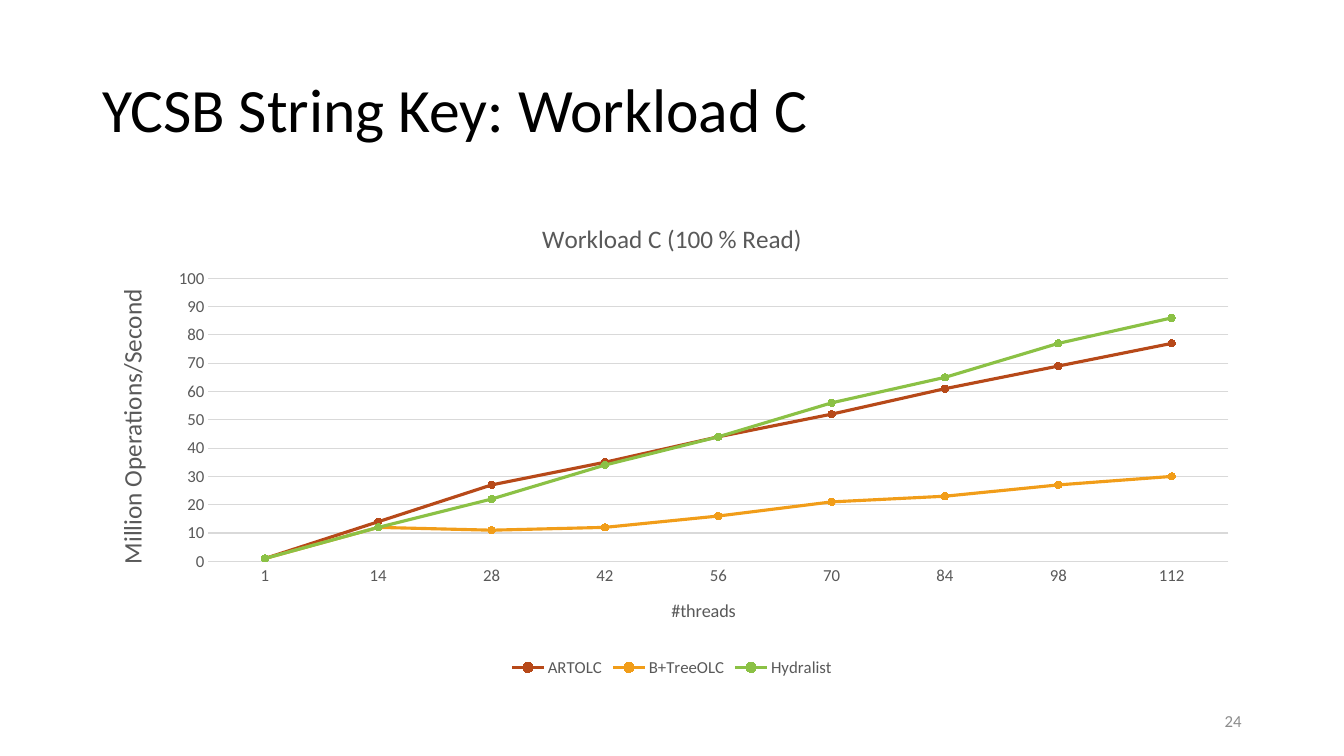
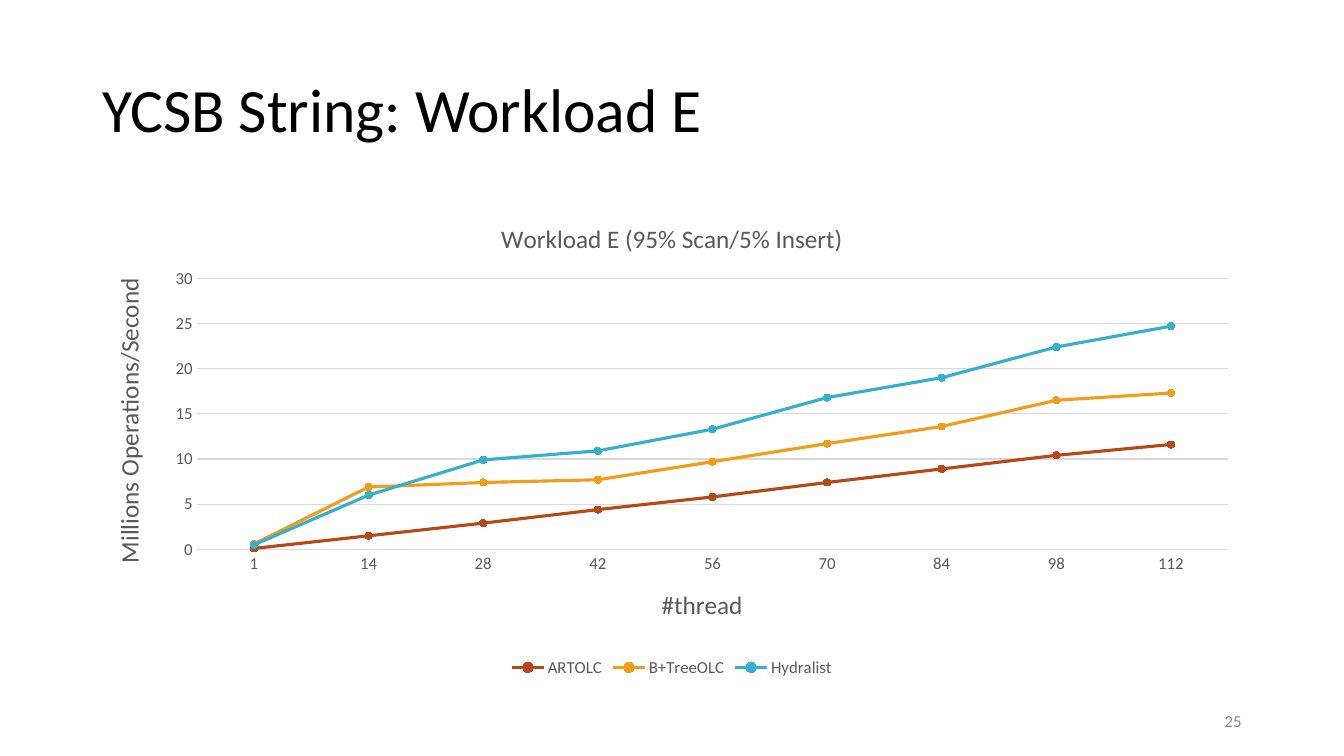
import pptx
import pptx.chart.data
import pptx.dml.color
import pptx.enum.chart
import pptx.enum.text
import pptx.oxml
import pptx.oxml.ns
import pptx.util

EMU_PER_PX = 9525
FONT = "Calibri"
BLACK = "000000"
GRAY = "595959"
PALE_GRAY = "D9D9D9"
NUMBER_GRAY = "8C8C8C"
RED = "B74919"
ORANGE = "F19D19"
GREEN = "8BC145"
BRIGHT_GREEN = "92D050"
BLUE = "36AFCE"
THREADS = ["1", "14", "28", "42", "56", "70", "84", "98", "112"]

WORKLOADS = [
    {
        "heading": "YCSB String Key: Workload C",
        "number": "24",
        "title": "Workload C (100 % Read)",
        "x_title": "#threads",
        "x_size": 13,
        "y_title": "Million Operations/Second",
        "maximum": 100,
        "step": 10,
        "plot": {"x": 0.1, "y": 0.16, "w": 0.88, "h": 0.59},
        "series": [
            ("ARTOLC", RED, RED, [1, 14, 27, 35, 44, 52, 61, 69, 77]),
            ("B+TreeOLC", ORANGE, ORANGE, [1, 12, 11, 12, 16, 21, 23, 27, 30]),
            ("Hydralist", GREEN, BRIGHT_GREEN, [1, 12, 22, 34, 44, 56, 65, 77, 86]),
        ],
    },
    {
        "heading": "YCSB String: Workload E",
        "number": "25",
        "title": "Workload E (95% Scan/5% Insert)",
        "x_title": "#thread",
        "x_size": 18,
        "y_title": "Millions Operations/Second",
        "maximum": 30,
        "step": 5,
        "plot": {"x": 0.09, "y": 0.16, "w": 0.89, "h": 0.565},
        "series": [
            ("ARTOLC", RED, RED, [0.1, 1.5, 2.9, 4.4, 5.8, 7.4, 8.9, 10.4, 11.6]),
            ("B+TreeOLC", ORANGE, ORANGE, [0.6, 6.9, 7.4, 7.7, 9.7, 11.7, 13.6, 16.5, 17.3]),
            ("Hydralist", BLUE, BLUE, [0.5, 6, 9.9, 10.9, 13.3, 16.8, 19, 22.4, 24.7]),
        ],
    },
]


def px(length):
    return pptx.util.Emu(length * EMU_PER_PX)


def color(value):
    return pptx.dml.color.RGBColor.from_string(value)


def style_font(font, size, value):
    font.name = FONT
    font.size = pptx.util.Pt(size)
    font.bold = False
    font.color.rgb = color(value)


def style_line(line, value, width):
    line.color.rgb = color(value)
    line.width = pptx.util.Pt(width)


def set_text(shape, text, size, value, alignment):
    frame = shape.text_frame
    frame.text = text
    frame.word_wrap = True
    frame.auto_size = pptx.enum.text.MSO_AUTO_SIZE.NONE
    frame.vertical_anchor = pptx.enum.text.MSO_ANCHOR.MIDDLE
    paragraph = frame.paragraphs[0]
    paragraph.alignment = alignment
    style_font(paragraph.runs[0].font, size, value)
    return paragraph


def add_heading(slide, text):
    title = slide.shapes.title
    title.left, title.top, title.width, title.height = map(px, (88, 38, 1104, 139))
    paragraph = set_text(title, text, 44, BLACK, pptx.enum.text.PP_ALIGN.LEFT)
    paragraph.line_spacing = 0.9


def add_slide_number(slide, number):
    box = slide.shapes.add_textbox(*map(px, (904, 667, 288, 38)))
    set_text(box, number, 12, NUMBER_GRAY, pptx.enum.text.PP_ALIGN.RIGHT)


def set_title(owner, text, size):
    frame = (owner.chart_title if hasattr(owner, "chart_title") else owner.axis_title).text_frame
    frame.text = text
    style_font(frame.paragraphs[0].runs[0].font, size, GRAY)


def set_plot_area(chart, plot):
    plot_area = chart.element.chart.plotArea
    for layout in plot_area.findall(pptx.oxml.ns.qn("c:layout")):
        plot_area.remove(layout)
    modes = "".join(f'<c:{side}Mode val="edge"/>' for side in "xy")
    sizes = "".join(f'<c:{side} val="{share}"/>' for side, share in plot.items())
    plot_area.insert(0, pptx.oxml.parse_xml(
        f'<c:layout {pptx.oxml.ns.nsdecls("c")}><c:manualLayout>'
        f'<c:layoutTarget val="inner"/>{modes}{sizes}'
        "</c:manualLayout></c:layout>"))


def style_axis(axis, title, size):
    axis.major_tick_mark = pptx.enum.chart.XL_TICK_MARK.NONE
    axis.minor_tick_mark = pptx.enum.chart.XL_TICK_MARK.NONE
    style_font(axis.tick_labels.font, 12, GRAY)
    set_title(axis, title, size)


def style_series(series, line_color, marker_color):
    series.smooth = False
    style_line(series.format.line, line_color, 2.25)
    marker = series.marker
    marker.style = pptx.enum.chart.XL_MARKER_STYLE.CIRCLE
    marker.size = 5
    marker.format.fill.solid()
    marker.format.fill.fore_color.rgb = color(marker_color)
    style_line(marker.format.line, line_color, 0.75)


def add_line_chart(slide, workload):
    data = pptx.chart.data.CategoryChartData()
    data.categories = THREADS
    for name, _, _, values in workload["series"]:
        data.add_series(name, values)
    chart = slide.shapes.add_chart(
        pptx.enum.chart.XL_CHART_TYPE.LINE_MARKERS, *map(px, (88, 192, 1104, 457)), data).chart
    style_font(chart.font, 10, BLACK)
    set_title(chart, workload["title"], 18)
    set_plot_area(chart, workload["plot"])

    style_axis(chart.category_axis, workload["x_title"], workload["x_size"])
    style_line(chart.category_axis.format.line, PALE_GRAY, 0.75)
    value_axis = chart.value_axis
    style_axis(value_axis, workload["y_title"], 18)
    value_axis.minimum_scale = 0
    value_axis.maximum_scale = workload["maximum"]
    value_axis.major_unit = workload["step"]
    value_axis.format.line.fill.background()
    style_line(value_axis.major_gridlines.format.line, PALE_GRAY, 0.75)

    chart.has_legend = True
    chart.legend.position = pptx.enum.chart.XL_LEGEND_POSITION.BOTTOM
    chart.legend.include_in_layout = False
    style_font(chart.legend.font, 12, GRAY)
    chart.plots[0].vary_by_categories = False
    for series, (_, line_color, marker_color, _) in zip(chart.series, workload["series"]):
        style_series(series, line_color, marker_color)


def main():
    presentation = pptx.Presentation()
    presentation.slide_width = px(1280)
    presentation.slide_height = px(720)
    layout = presentation.slide_layouts.get_by_name("Title Only")
    for workload in WORKLOADS:
        slide = presentation.slides.add_slide(layout)
        add_heading(slide, workload["heading"])
        add_slide_number(slide, workload["number"])
        add_line_chart(slide, workload)
    presentation.save("out.pptx")


if __name__ == "__main__":
    main()
